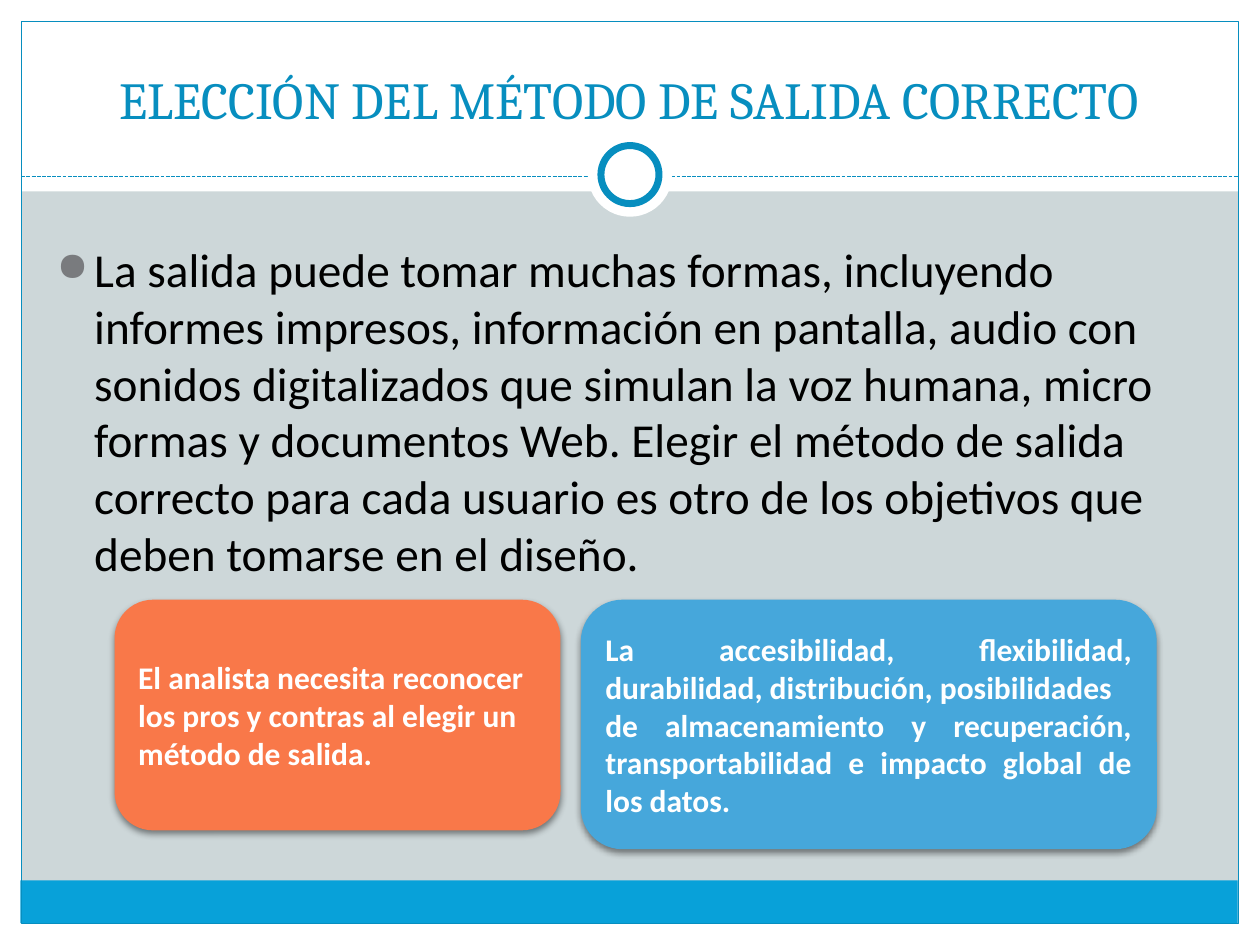
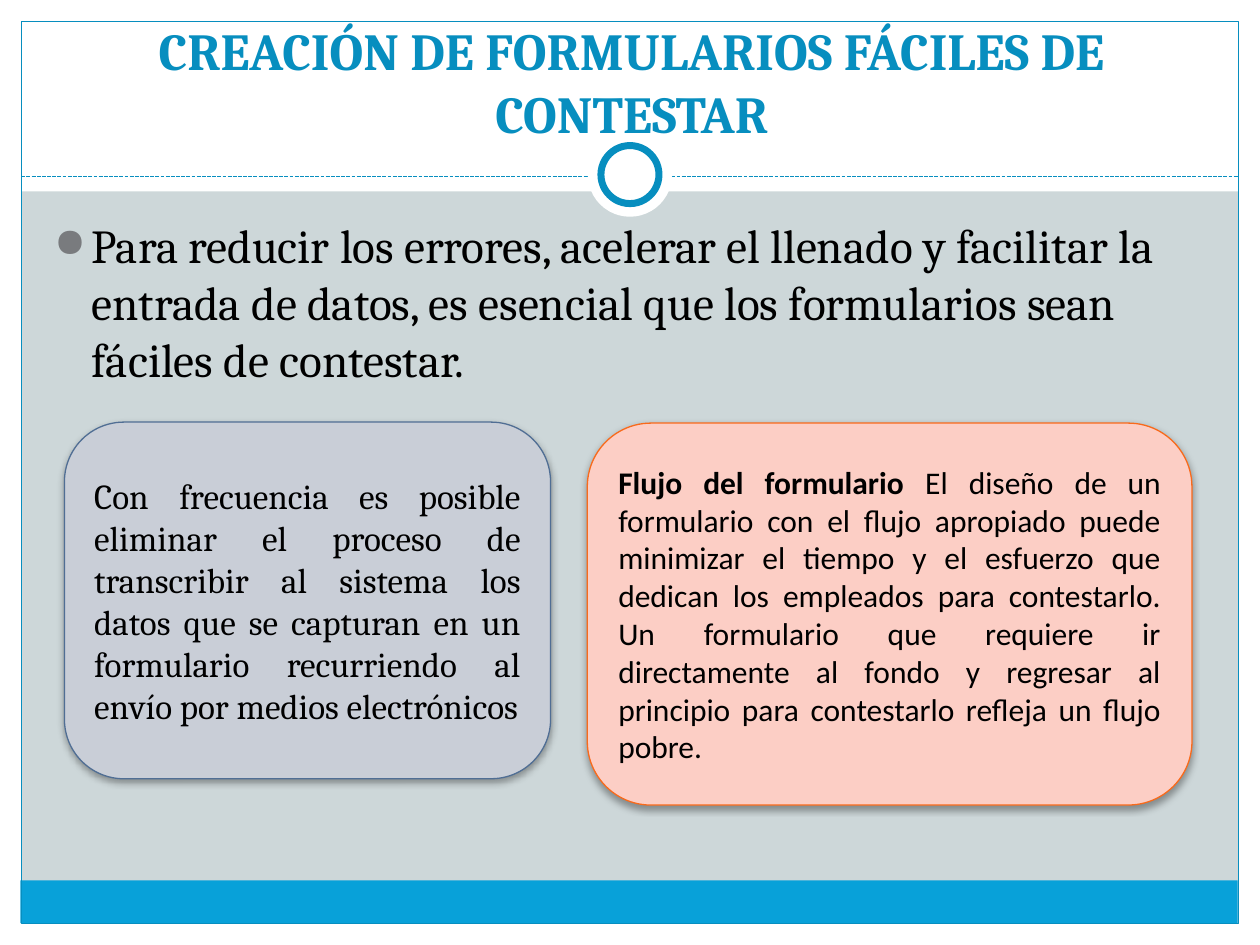
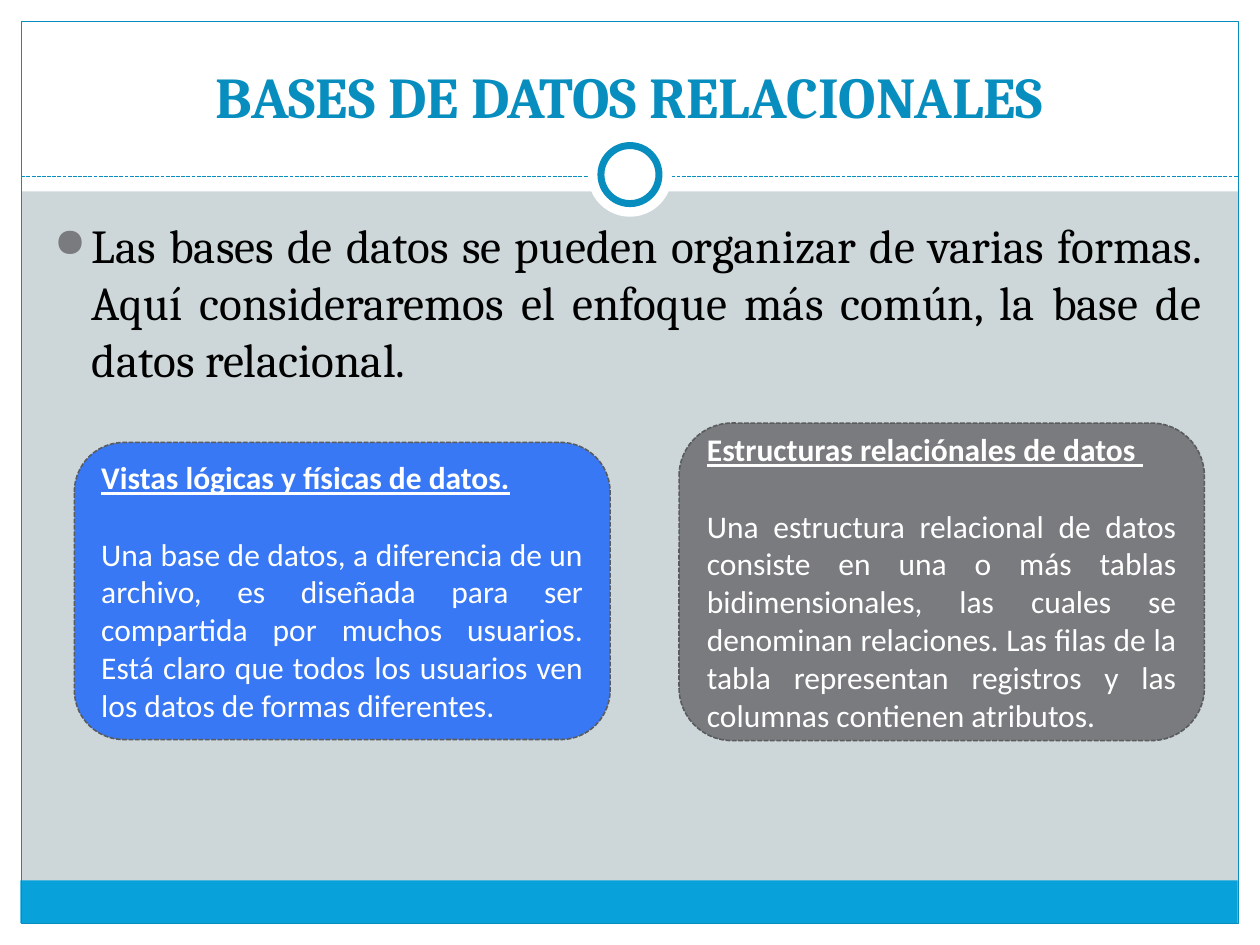
from lxml.etree import SubElement
from pptx import Presentation
from pptx.dml.color import RGBColor
from pptx.enum.dml import MSO_LINE
from pptx.enum.shapes import MSO_CONNECTOR, MSO_SHAPE
from pptx.enum.text import MSO_ANCHOR, PP_ALIGN
from pptx.oxml.ns import qn
from pptx.util import Cm, Pt

LEFT, MID, FULL = PP_ALIGN.LEFT, PP_ALIGN.CENTER, PP_ALIGN.JUSTIFY
WHITE, BLACK, BLUE, SKY = "FFFFFF", "000000", "078EBF", "08A1D9"
BACK, GRAY, EDGE = "CDD7D9", "797B7E", "5A5B5D"
SERIF, SANS = "Cambria", "Calibri"
WIDE, HIGH, RIM = 25.4, 19.05, 0.43


def tint(code):
    """Return the colour of a hex string."""
    return RGBColor.from_string(code)


class Deck:
    """Holds the style and the current slide."""

    def __init__(self):
        """Start an empty deck."""
        self.show = Presentation()
        self.show.slide_width = Cm(WIDE)
        self.show.slide_height = Cm(HIGH)
        self.slide = None

    def page(self):
        """Add a slide with the shared bands, frame and ring."""
        self.slide = self.show.slides.add_slide(self.show.slide_layouts[6])
        fill = self.slide.background.fill
        fill.solid()
        fill.fore_color.rgb = tint(BACK)
        for spot in ((0, HIGH - RIM, WIDE, RIM), (0, 0, WIDE, 3.86),
                     (0, 0, RIM, HIGH), (WIDE - RIM, 0, RIM, HIGH)):
            self.shape(spot, WHITE)
        self.shape((0.41, 17.75, 24.54, 0.86), SKY)
        self.shape((RIM, RIM, WIDE - 2 * RIM, HIGH - 2 * RIM), edge=BLUE)
        self.rule(3.56)
        self.ring(1.7)
        self.ring(1.17, BLUE, 4)

    def shape(self, spot, fill=None, edge=None, width=0.75, dash=None,
              kind=MSO_SHAPE.RECTANGLE):
        """Draw a preset shape."""
        item = self.slide.shapes.add_shape(kind, *map(Cm, spot))
        if fill:
            item.fill.solid()
            item.fill.fore_color.rgb = tint(fill)
        else:
            item.fill.background()
        if edge:
            self.pen(item.line, edge, width, dash)
        else:
            item.line.fill.background()
        item.shadow.inherit = False
        return item

    def pen(self, line, code, width, dash=None):
        """Style a line."""
        line.color.rgb = tint(code)
        line.width = Pt(width)
        if dash:
            line.dash_style = dash

    def rule(self, top):
        """Draw the dashed line under the title."""
        item = self.slide.shapes.add_connector(
            MSO_CONNECTOR.STRAIGHT, Cm(RIM), Cm(top), Cm(WIDE - RIM), Cm(top))
        self.pen(item.line, BLUE, 0.75, MSO_LINE.SQUARE_DOT)
        SubElement(item._element.spPr, qn("a:effectLst"))

    def ring(self, size, edge=None, width=0.75):
        """Draw a disc centred on the dashed line."""
        spot = (12.7 - size / 2, 3.52 - size / 2, size, size)
        self.shape(spot, WHITE, edge, width, kind=MSO_SHAPE.OVAL)

    def text(self, frame, paras, size, font, code, gap=0):
        """Fill a frame with paragraphs of (align, runs)."""
        frame.word_wrap = True
        for rank, (align, runs) in enumerate(paras):
            para = frame.add_paragraph() if rank else frame.paragraphs[0]
            para.alignment = align
            if rank and gap:
                para.space_before = Pt(gap)
            for words, marks in runs:
                run = para.add_run()
                run.text = words
                run.font.size = Pt(size)
                run.font.name = font
                run.font.color.rgb = tint(code)
                run.font.bold = "b" in marks
                run.font.underline = "u" in marks

    def field(self, spot):
        """Add a text box and return its frame."""
        return self.slide.shapes.add_textbox(*map(Cm, spot)).text_frame

    def title(self, words, left=0.84, top=0.64, size=29.7, marks="b"):
        """Add the slide title."""
        frame = self.field((left, top, 23.7, 2.11))
        frame.vertical_anchor = MSO_ANCHOR.BOTTOM
        self.text(frame, [(MID, [(words, marks)])], size, SERIF, BLUE)

    def body(self, words, left=0.84, top=4.24, font=SERIF, align=LEFT):
        """Add the main text with its bullet."""
        frame = self.field((left, top, 23.62, 12.7))
        props = frame.paragraphs[0]._p.get_or_add_pPr()
        props.set("marL", str(Cm(0.76)))
        props.set("indent", str(Cm(-0.76)))
        SubElement(SubElement(props, qn("a:buClr")), qn("a:srgbClr"), val=GRAY)
        SubElement(props, qn("a:buSzPct"), val="85000")
        SubElement(props, qn("a:buChar"), char="●")
        self.text(frame, [(align, [(words, "")])], 27, font, BLACK)

    def card(self, spot, fill, paras, size=18, font=SANS, code=WHITE,
             edge=None, width=0.75, dash=None, shade=0, gap=0):
        """Add a rounded box with text."""
        item = self.shape(spot, fill, edge, width, dash,
                          MSO_SHAPE.ROUNDED_RECTANGLE)
        if shade:
            self.shade(item, shade)
        item.text_frame.vertical_anchor = MSO_ANCHOR.MIDDLE
        self.text(item.text_frame, paras, size, font, code, gap)

    def shade(self, item, share):
        """Cast a soft shadow below a shape."""
        cast = SubElement(item._element.spPr.find(qn("a:effectLst")),
                          qn("a:outerShdw"), blurRad=str(Pt(4)),
                          dist=str(Pt(2)), dir="5400000", rotWithShape="0")
        ink = SubElement(cast, qn("a:srgbClr"), val=BLACK)
        SubElement(ink, qn("a:alpha"), val=str(share * 1000))


def main():
    """Build and save the three slides."""
    deck = Deck()

    deck.page()
    deck.title("ELECCIÓN DEL MÉTODO DE SALIDA CORRECTO", marks="")
    deck.body("La salida puede tomar muchas formas, incluyendo informes "
              "impresos, información en pantalla, audio con sonidos "
              "digitalizados que simulan la voz humana, micro formas y "
              "documentos Web. Elegir el método de salida correcto para cada "
              "usuario es otro de los objetivos que deben tomarse en el "
              "diseño.", 0.89, 4.72, SANS)
    deck.card((2.31, 12.09, 8.99, 4.65), "F97849", [
        (LEFT, [("El analista necesita reconocer los pros y contras al "
                 "elegir un método de salida.", "b")])], shade=45)
    deck.card((11.71, 12.09, 11.61, 5.03), "46A7DB", [
        (FULL, [("La accesibilidad, flexibilidad, durabilidad, "
                 "distribución, posibilidades", "b")]),
        (FULL, [("de almacenamiento y recuperación, transportabilidad e "
                 "impacto global de los datos.", "b")])], shade=45)

    deck.page()
    deck.title("CREACIÓN DE FORMULARIOS FÁCILES DE CONTESTAR", 0.89, 0.91)
    deck.body("Para reducir los errores, acelerar el llenado y facilitar la "
              "entrada de datos, es esencial que los formularios sean "
              "fáciles de contestar.")
    deck.card((1.3, 8.51, 9.8, 7.19), "C9CED7", [
        (FULL, [("Con frecuencia es posible eliminar el proceso de "
                 "transcribir al sistema los datos que se capturan en un "
                 "formulario recurriendo al envío por medios electrónicos",
                 "")])], 20, SERIF, BLACK, "506E94", shade=35)
    deck.card((11.84, 8.53, 12.19, 7.7), "FCCEC5", [
        (FULL, [("Flujo del formulario ", "b"),
                ("El diseño de un formulario con el flujo apropiado puede "
                 "minimizar el tiempo y el esfuerzo que dedican los "
                 "empleados para contestarlo. Un formulario que requiere ir "
                 "directamente al fondo y regresar al principio para "
                 "contestarlo refleja un flujo pobre.", "")])],
        code=BLACK, edge="F96A1B", shade=35)

    deck.page()
    deck.title("BASES DE DATOS RELACIONALES", size=33)
    deck.body("Las bases de datos se pueden organizar de varias formas. Aquí "
              "consideraremos el enfoque más común, la base de datos "
              "relacional.", align=FULL)
    for spot, fill, align, head, words in (
            ((1.5, 8.92, 10.8, 5.99), "3978F5", LEFT,
             "Vistas lógicas y físicas de datos.",
             "Una base de datos, a diferencia de un archivo, es diseñada "
             "para ser compartida por muchos usuarios. Está claro que todos "
             "los usuarios ven los datos de formas diferentes."),
            ((13.69, 8.53, 10.59, 6.4), GRAY, FULL,
             "Estructuras relaciónales de datos ",
             "Una estructura relacional de datos consiste en una o más "
             "tablas bidimensionales, las cuales se denominan relaciones. "
             "Las filas de la tabla representan registros y las columnas "
             "contienen atributos.")):
        deck.card(spot, fill, [(align, [(head, "bu")]), (FULL, [(words, "")])],
                  edge=EDGE, width=0.9, dash=MSO_LINE.SQUARE_DOT, gap=22)

    deck.show.save("out.pptx")


if __name__ == "__main__":
    main()
